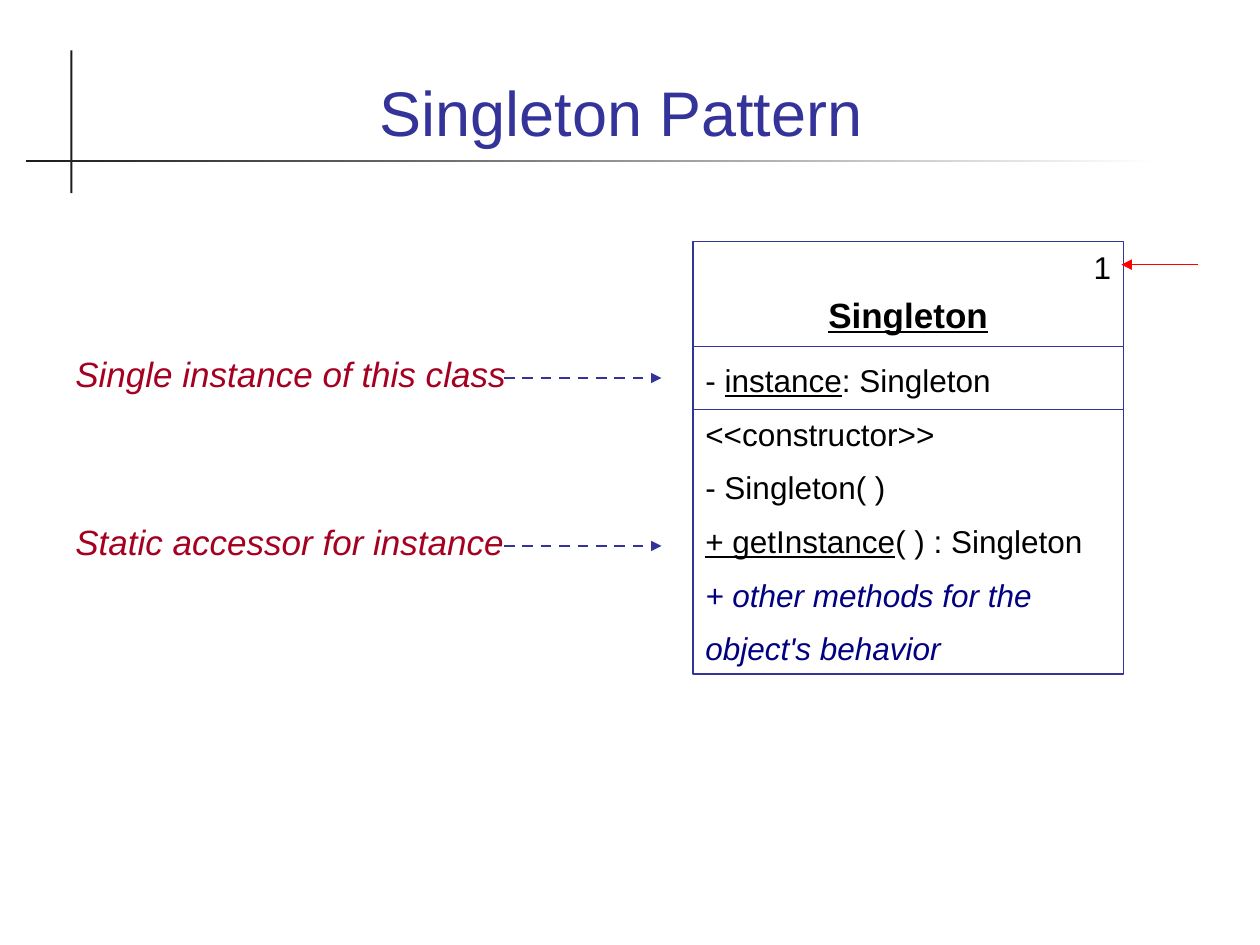
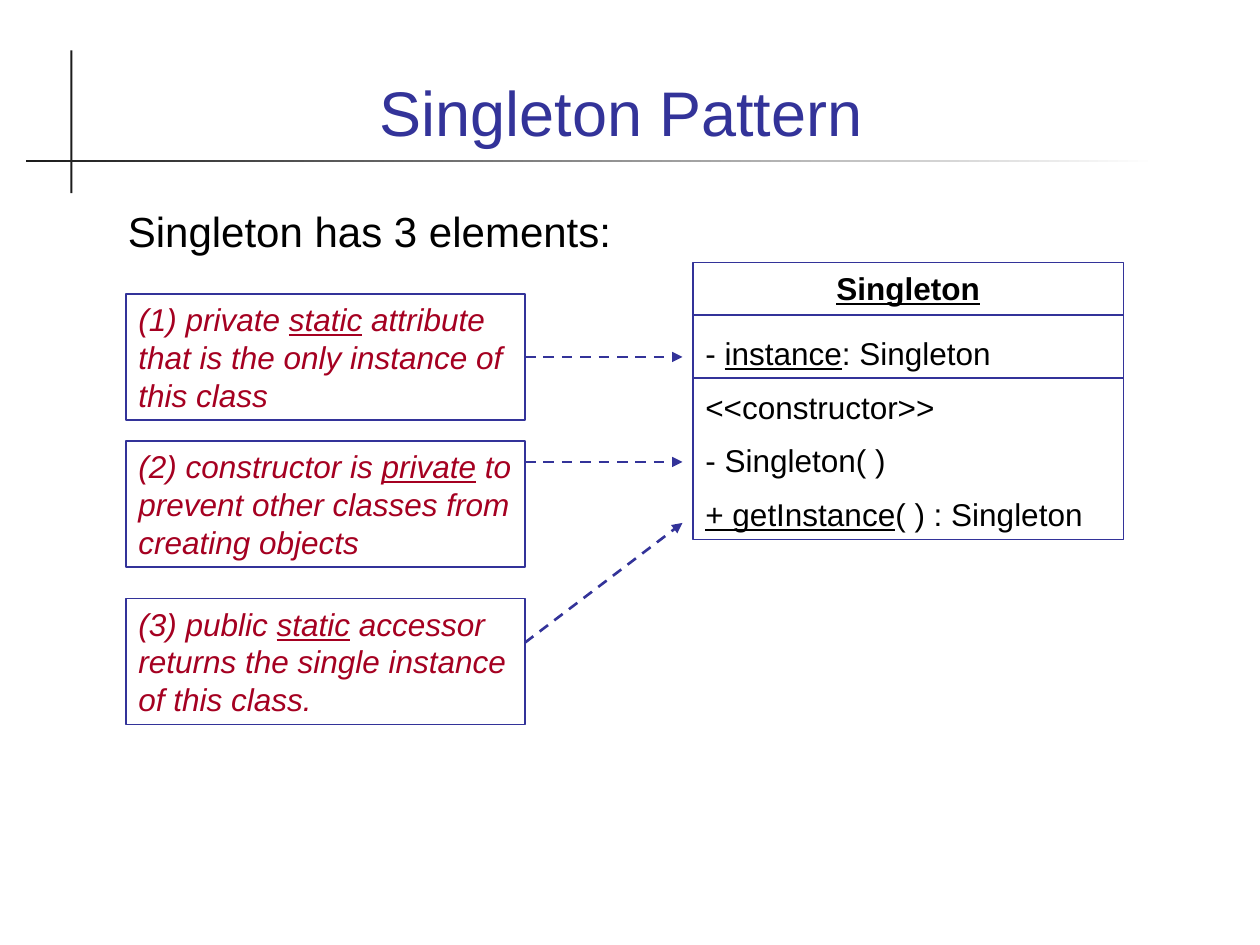
from lxml import etree
from pptx import Presentation
from pptx import util as u
from pptx.dml.color import RGBColor
from pptx.enum import dml, shapes, text
from pptx.oxml.ns import qn

COLORS = {
    "blue": "333399", "navy": "000080", "wine": "A50021",
    "black": "000000", "ink": "1C1C1C", "white": "FFFFFF", "red": "FF0000",
}
FONT = "Arial"
COLS, ROWS = 120, 90
WIDTH, HEIGHT = u.Inches(10), u.Inches(7.5)
CLASS_LEFT, CLASS_WIDTH = 66, 41
LEFT, CENTER, RIGHT = text.PP_ALIGN.LEFT, text.PP_ALIGN.CENTER, text.PP_ALIGN.RIGHT
MEMBERS = [
    dict(content="- _instance_: Singleton", before=4.5),
    dict(content="<<constructor>>", before=9),
    dict(content="- Singleton( )", before=9),
    dict(content="+ _getInstance_( ) : Singleton".replace("+ _", "_+ "), before=9),
]


def rgb(name):
    """Return the named colour."""
    return RGBColor.from_string(COLORS[name])


def grid(x, y, *size):
    """Turn columns and rows into slide lengths."""
    units = (WIDTH / COLS, HEIGHT / ROWS)
    return [int(n * units[i % 2]) for i, n in enumerate((x, y, *size))]


def write(p, content, size=18, color="black", bold=False, italic=False,
          align=LEFT, before=None, after=None, spacing=None):
    """Fill a paragraph, underlining the parts between underscores."""
    p.alignment = align
    if before is not None:
        p.space_before = u.Pt(before)
    if after is not None:
        p.space_after = u.Pt(after)
    if spacing is not None:
        p.line_spacing = spacing
    for i, part in enumerate(content.split("_")):
        if part:
            r = p.add_run()
            r.text = part
            f = r.font
            f.name, f.size, f.color.rgb = FONT, u.Pt(size), rgb(color)
            f.bold, f.italic, f.underline = bold, italic, i % 2 == 1


def add_bar(s, *at):
    """Add a plain dark bar without outline."""
    sp = s.shapes.add_shape(shapes.MSO_SHAPE.RECTANGLE, *grid(*at))
    sp.shadow.inherit = False
    sp.line.fill.background()
    sp.fill.solid()
    sp.fill.fore_color.rgb = rgb("ink")
    return sp


def style_layout(layout, s):
    """Place the title and the crossed bars on the shared layout."""
    title = layout.placeholders[0]
    title.left, title.top, title.width, title.height = grid(8, 3.4, 104, 11.4)
    title.text_frame.vertical_anchor = text.MSO_ANCHOR.BOTTOM
    upright = add_bar(s, 6.7, 4.8, 0.2, 13.6)
    level = add_bar(s, 2.5, 15.2, 107.8, 0.25)
    level.fill.gradient()
    level.fill.gradient_angle = 0
    for stop, color in zip(level.fill.gradient_stops, ("ink", "white")):
        stop.color.rgb = rgb(color)
    for sp in (level, upright):
        layout.shapes._spTree.insert(2, sp._element)


def add_title(s, content):
    """Write the slide title."""
    write(s.shapes.title.text_frame.paragraphs[0], content, 36, "blue", align=CENTER)


def add_box(s, at, paragraphs):
    """Add an outlined box with formatted paragraphs."""
    sp = s.shapes.add_shape(shapes.MSO_SHAPE.RECTANGLE, *grid(*at))
    sp.shadow.inherit = False
    sp.fill.background()
    sp.line.color.rgb, sp.line.width = rgb("blue"), u.Pt(1)
    tf = sp.text_frame
    tf.word_wrap, tf.vertical_anchor = True, text.MSO_ANCHOR.TOP
    for i, paragraph in enumerate(paragraphs):
        write(tf.add_paragraph() if i else tf.paragraphs[0], **paragraph)


def add_label(s, at, content, wrap=False, **style):
    """Add a free line of text."""
    tf = s.shapes.add_textbox(*grid(*at)).text_frame
    tf.word_wrap = wrap
    write(tf.paragraphs[0], content, **style)


def add_line(s, start, end, color="blue", width=1, dashed=False, arrow=False):
    """Add a straight line, optionally dashed or with an arrowhead."""
    c = s.shapes.add_connector(shapes.MSO_CONNECTOR.STRAIGHT, *grid(*start, *end))
    c.line.color.rgb, c.line.width = rgb(color), u.Pt(width)
    if dashed:
        c.line.dash_style = dml.MSO_LINE.DASH
    if arrow:
        etree.SubElement(c.line._get_or_add_ln(), qn("a:tailEnd"), type="triangle")
    etree.SubElement(c._element.spPr, qn("a:effectLst"))


def add_pointer(s, start, end):
    """Add a dashed arrow from a remark to a class member."""
    add_line(s, start, end, width=1.5, dashed=True, arrow=True)


def add_class(s, top, height, rules, paragraphs):
    """Add a class diagram with rules between its compartments."""
    add_box(s, (CLASS_LEFT, top, CLASS_WIDTH, height), paragraphs)
    for y in rules:
        add_line(s, (CLASS_LEFT, y), (CLASS_LEFT + CLASS_WIDTH, y))


def build_overview(s):
    """Build the class diagram with its two remarks."""
    add_title(s, "Singleton Pattern ")
    heading = [
        dict(content="1", align=RIGHT, after=11),
        dict(content="_Singleton_", size=20, bold=True, align=CENTER, after=11, spacing=0.7),
    ]
    others = [dict(content=line, color="navy", italic=True, before=9)
              for line in ("+ other methods for the", "object's behavior")]
    add_class(s, 23, 41.2, (33, 39), heading + MEMBERS + others)
    for y, remark in ((33, "Single instance of this class"),
                      (49, "Static accessor for instance")):
        add_pointer(s, (48, y + 3), (63, y + 3))
        add_label(s, (6, y, 43.4, 5.25), remark, size=20, color="wine", italic=True)
    add_line(s, (114.1, 25.2), (106.8, 25.2), "red", 0.75, arrow=True)


def build_elements(s):
    """Build the class diagram with its three elements explained."""
    add_title(s, "Singleton Pattern ")
    heading = [dict(content="_Singleton_", bold=True, align=CENTER, after=11.2)]
    add_class(s, 25, 26.4, (30, 36), heading + MEMBERS)
    add_label(s, (11, 19, 101, 6), "Singleton has 3 elements:", wrap=True, size=24)
    elements = (
        (28, 34, 34, "(1) private _static_ attribute that is the only instance of this class"),
        (42, 44, 44, "(2) constructor is _private_ to prevent other classes from creating objects"),
        (57, 61.2, 49.8, "(3) public _static_ accessor returns the single instance of this class."),
    )
    for top, start, end, content in elements:
        add_box(s, (12, top, 38, 12), [dict(content=content, color="wine", italic=True)])
        add_pointer(s, (50, start), (65, end))


def main():
    """Build and save the slides."""
    prs = Presentation()
    prs.slide_width, prs.slide_height = WIDTH, HEIGHT
    layout = prs.slide_layouts[5]
    overview, elements = (prs.slides.add_slide(layout) for _ in range(2))
    style_layout(layout, overview)
    build_overview(overview)
    build_elements(elements)
    prs.save("out.pptx")


if __name__ == "__main__":
    main()
